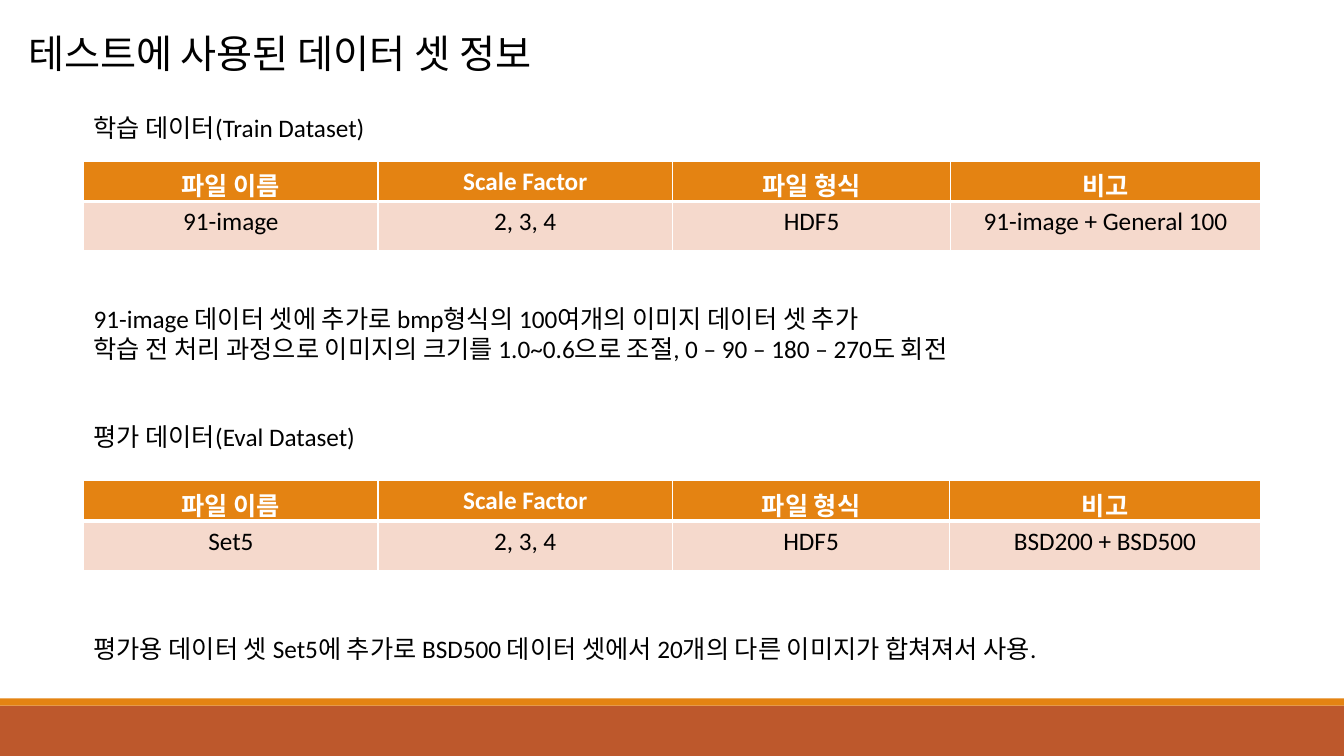
from lxml.etree import SubElement
from pptx import Presentation
from pptx.dml.color import RGBColor
from pptx.enum.shapes import MSO_SHAPE
from pptx.enum.text import MSO_AUTO_SIZE, PP_ALIGN
from pptx.oxml.ns import qn
from pptx.util import Inches, Pt

ORANGE, RUST, PEACH = "E48312", "BD582C", "F5D9CC"
BLACK, WHITE = "000000", "FFFFFF"
LEFT = 0.83
HEADERS = ["파일 이름", "Scale Factor", "파일 형식", "비고"]


def rgb(value):
    return RGBColor.from_string(value)


class SlideBuilder:
    font = "Calibri"
    size = 18

    def __init__(self, slide):
        self.slide = slide

    def style(self, p, size=None, color=BLACK, bold=False):
        for r in p.runs:
            r.font.name = self.font
            r.font.size = Pt(size or self.size)
            r.font.bold = bold
            r.font.color.rgb = rgb(color)

    def bar(self, top, height, color):
        s = self.slide.shapes.add_shape(MSO_SHAPE.RECTANGLE, 0, Inches(top),
                                        Inches(13.33), Inches(height))
        s.shadow.inherit = False
        s.fill.solid()
        s.fill.fore_color.rgb = rgb(color)
        s.line.fill.background()

    def text(self, left, top, width, height, text, size=None):
        s = self.slide.shapes.add_textbox(Inches(left), Inches(top),
                                          Inches(width), Inches(height))
        tf = s.text_frame
        tf.word_wrap = True
        tf.auto_size = MSO_AUTO_SIZE.SHAPE_TO_FIT_TEXT
        tf.text = text
        for p in tf.paragraphs:
            self.style(p, size)

    def borders(self, cell, **widths):
        """Draw white cell borders; widths in points, keyed L, R, T and B."""
        tc_pr = cell._tc.get_or_add_tcPr()
        for side, width in widths.items():
            ln = SubElement(tc_pr, qn(f"a:ln{side}"), w=str(Pt(width)))
            fill = SubElement(ln, qn("a:solidFill"))
            SubElement(fill, qn("a:srgbClr"), val=WHITE)

    def table(self, top, columns, values):
        rows = [HEADERS, values]
        heights = [0.34, 0.49]
        frame = self.slide.shapes.add_table(
            len(rows), len(columns), Inches(LEFT), Inches(top),
            Inches(sum(columns)), Inches(sum(heights)))
        table = frame.table
        for column, width in zip(table.columns, columns):
            column.width = Inches(width)
        for i, row in enumerate(rows):
            table.rows[i].height = Inches(heights[i])
            header = i == 0
            for j, value in enumerate(row):
                cell = table.cell(i, j)
                self.borders(cell, L=1, R=1, T=1 if header else 3,
                             B=3 if header else 1)
                cell.fill.solid()
                cell.fill.fore_color.rgb = rgb(ORANGE if header else PEACH)
                cell.text_frame.text = value
                p = cell.text_frame.paragraphs[0]
                p.alignment = PP_ALIGN.CENTER
                self.style(p, color=WHITE if header else BLACK, bold=header)


def main():
    prs = Presentation()
    prs.slide_width, prs.slide_height = Inches(13.33), Inches(7.5)
    page = SlideBuilder(prs.slides.add_slide(prs.slide_layouts[6]))

    page.bar(7, 0.5, RUST)
    page.bar(6.93, 0.07, ORANGE)
    page.text(0.18, 0.24, 8.36, 0.57, "테스트에 사용된 데이터 셋 정보", size=28)

    page.text(LEFT, 1.07, 3, 0.4, "학습 데이터(Train Dataset)")
    page.table(1.6, [2.92, 2.92, 2.76, 3.07],
               ["91-image", "2, 3, 4", "HDF5", "91-image + General 100"])
    page.text(LEFT, 2.96, 12.07, 0.71,
              "91-image 데이터 셋에 추가로 bmp형식의 100여개의 이미지 데이터 셋 추가\n"
              "학습 전 처리 과정으로 이미지의 크기를 1.0~0.6으로 조절, "
              "0 – 90 – 180 – 270도 회전")

    page.text(LEFT, 4.13, 3, 0.4, "평가 데이터(Eval Dataset)")
    page.table(4.77, [2.92, 2.92, 2.75, 3.08],
               ["Set5", "2, 3, 4", "HDF5", "BSD200 + BSD500"])
    page.text(LEFT, 6.23, 12.07, 0.4,
              "평가용 데이터 셋 Set5에 추가로 BSD500 데이터 셋에서 "
              "20개의 다른 이미지가 합쳐져서 사용.")

    prs.save("out.pptx")


if __name__ == "__main__":
    main()
